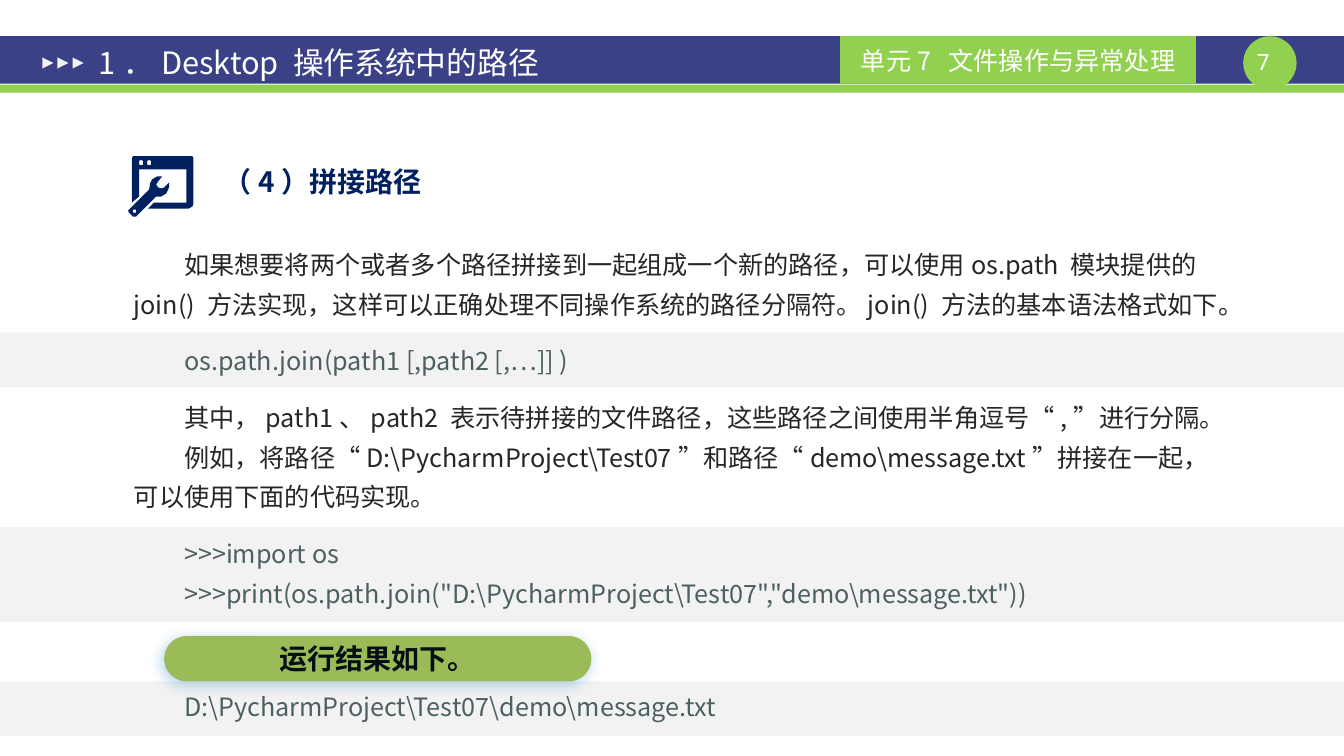
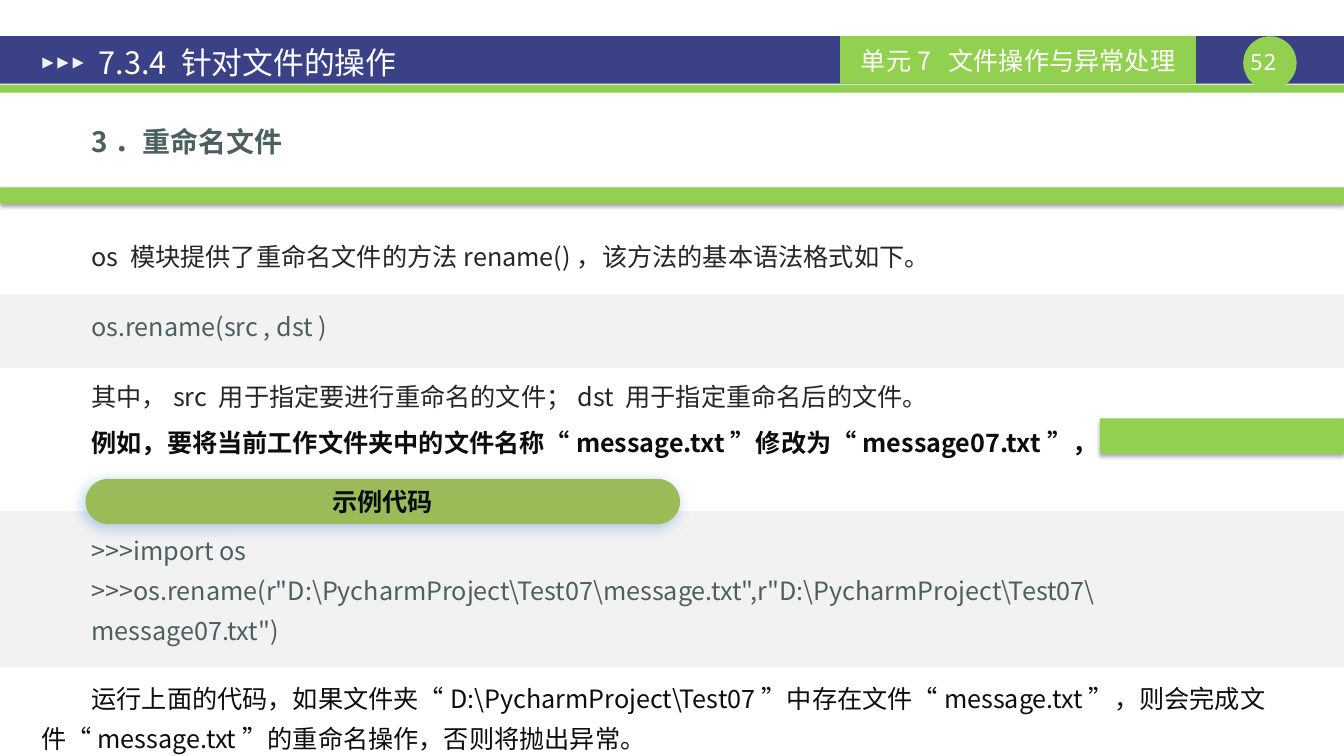
import math
from dataclasses import dataclass

from lxml import etree
from pptx import Presentation
from pptx.dml.color import RGBColor
from pptx.enum.shapes import MSO_SHAPE
from pptx.enum.text import MSO_ANCHOR, MSO_AUTO_SIZE, PP_ALIGN
from pptx.oxml.ns import qn
from pptx.util import Inches, Pt

RECTANGLE = MSO_SHAPE.RECTANGLE
OVAL = MSO_SHAPE.OVAL
TRIANGLE = MSO_SHAPE.ISOSCELES_TRIANGLE
ROUNDED = MSO_SHAPE.ROUNDED_RECTANGLE
TOP, MIDDLE = MSO_ANCHOR.TOP, MSO_ANCHOR.MIDDLE
LEFT, CENTER = PP_ALIGN.LEFT, PP_ALIGN.CENTER
NO_AUTOFIT = MSO_AUTO_SIZE.NONE


@dataclass(frozen=True)
class Theme:
    font: str = "Noto Sans CJK SC"
    number_font: str = "Noto Sans Mono"
    navy: str = "3A4187"
    green: str = "92D050"
    pill: str = "9BBB59"
    band: str = "F2F2F2"
    white: str = "FFFFFF"
    icon: str = "002060"
    body: str = "262626"
    strong: str = "0D0D0D"
    code: str = "4C6062"
    pill_text: str = "060E11"
    title_size: int = 22
    heading_size: int = 20
    body_size: int = 18
    number_size: int = 16
    line_ratio: float = 1.58  # line pitch as a multiple of the type size
    indent: float = 0.5
    # colour, opacity %, blur pt, distance pt, direction in degrees
    pill_shadow: tuple = ("0070C0", 30, 10, 3, 135)
    bar_shadow: tuple = ("000000", 35, 3.1, 1.8, 90)


THEME = Theme()
WIDTH, HEIGHT = 13.34, 7.5
UNIT_NAME = "单元7  文件操作与异常处理"


def style(paragraph, size, color, bold=False, font=THEME.font, align=LEFT):
    paragraph.alignment = align
    paragraph.font.size = Pt(size)
    paragraph.font.bold = bold
    paragraph.font.color.rgb = RGBColor.from_string(color)
    paragraph.font.name = font
    properties = paragraph._p.pPr.find(qn("a:defRPr"))
    etree.SubElement(properties, qn("a:ea")).set("typeface", font)


def add_shadow(shape, color, opacity, blur, distance, direction):
    effects = shape._element.spPr.find(qn("a:effectLst"))
    shadow = etree.SubElement(
        effects, qn("a:outerShdw"), blurRad=str(Pt(blur)), dist=str(Pt(distance)),
        dir=str(direction * 60000), algn="ctr", rotWithShape="0")
    tint = etree.SubElement(shadow, qn("a:srgbClr"), val=color)
    etree.SubElement(tint, qn("a:alpha"), val=str(opacity * 1000))


def paint(shape, color, shadow=None):
    shape.shadow.inherit = False
    shape.fill.solid()
    shape.fill.fore_color.rgb = RGBColor.from_string(color)
    shape.line.fill.background()
    if shadow:
        add_shadow(shape, *shadow)
    return shape


def add_block(slide, kind, box, color, shadow=None):
    shape = slide.shapes.add_shape(kind, *map(Inches, box))
    return paint(shape, color, shadow)


def label(shape, text, size, color, bold=False):
    frame = shape.text_frame
    frame.vertical_anchor = MIDDLE
    frame.text = text
    style(frame.paragraphs[0], size, color, bold, align=CENTER)


def add_line_of_text(slide, box, text, size, color, bold=False, font=THEME.font,
                     anchor=TOP, wrap=True):
    """One centred line in a box without margins."""
    frame = slide.shapes.add_textbox(*map(Inches, box)).text_frame
    frame.margin_left = frame.margin_right = frame.margin_top = frame.margin_bottom = 0
    frame.word_wrap = wrap
    frame.vertical_anchor = anchor
    frame.text = text
    style(frame.paragraphs[0], size, color, bold, font, CENTER)


def add_body(slide, box, entries, size=THEME.body_size, bold=False):
    """Entries are (text, colour, points before); first lines are indented."""
    frame = slide.shapes.add_textbox(*map(Inches, box)).text_frame
    frame.word_wrap = True
    for index, (text, color, before) in enumerate(entries):
        paragraph = frame.add_paragraph() if index else frame.paragraphs[0]
        paragraph.text = text
        properties = paragraph._p.get_or_add_pPr()
        properties.set("marL", "0")
        properties.set("indent", str(Inches(THEME.indent)))
        paragraph.line_spacing = Pt(round(size * THEME.line_ratio, 1))
        paragraph.space_before = Pt(before)
        style(paragraph, size, color, bold)


def add_code_band(slide, top, height):
    add_block(slide, RECTANGLE, (0, top, WIDTH, height), THEME.band)


def add_green_bar(slide, box):
    add_block(slide, RECTANGLE, box, THEME.green, THEME.bar_shadow)


def add_pill(slide, box, text, size):
    pill = add_block(slide, ROUNDED, box, THEME.pill, THEME.pill_shadow)
    pill.adjustments[0] = 0.5
    label(pill, text, size, THEME.pill_text, bold=True)


def add_header(slide, title_text, number, top=0.36):
    band_height = 0.47
    add_block(slide, RECTANGLE, (0, top, WIDTH, band_height), THEME.navy)
    add_block(slide, RECTANGLE, (0, top + 0.48, WIDTH, 0.08), THEME.green)
    add_block(slide, OVAL, (12.34, top, 0.53, 0.53), THEME.green)
    add_line_of_text(slide, (12.34, top + 0.12, 0.53, 0.27), f"{number} ",
                     THEME.number_size, THEME.white, font=THEME.number_font)
    unit = add_block(slide, RECTANGLE, (8.34, top, 3.53, band_height), THEME.green)
    label(unit, UNIT_NAME, THEME.body_size, THEME.white)
    for index in range(3):
        marker = add_block(slide, TRIANGLE, (0.42 + 0.15 * index, top + 0.21, 0.11, 0.11),
                           THEME.band)
        marker.rotation = 90

    title = slide.shapes.title
    title.left, title.top, title.width, title.height = map(
        Inches, (0.85, top + 0.04, 7.2, 0.44))
    frame = title.text_frame
    frame.margin_left = frame.margin_right = Inches(0.13)
    frame.margin_top = frame.margin_bottom = Inches(0.07)
    frame.auto_size = NO_AUTOFIT
    frame.vertical_anchor = MIDDLE
    frame.text = title_text
    style(frame.paragraphs[0], THEME.title_size, THEME.white)
    slide.shapes._spTree.append(title._element)  # in front of the band


def circle_points(x, y, radius, count=16):
    angles = (2 * math.pi * step / count for step in range(count))
    return [(x + radius * math.cos(angle), y + radius * math.sin(angle)) for angle in angles]


def add_tool_icon(slide, left, top):
    """A window with a wrench, drawn in hundredths of an inch."""
    wrench = [(38, 37), (40.5, 33), (41.2, 30), (41, 26), (36, 31), (33, 32.5), (30, 31),
              (28.5, 28), (30, 25), (34, 20), (29, 20), (24, 23), (21.5, 27), (21, 33),
              (1, 53), (0, 54.5), (1, 56), (5, 60), (6.5, 60.5), (8, 60), (28, 40),
              (33, 40)]
    window = [(64, 0), (5, 0), (4, 2), (4, 46), (11, 40), (11, 13), (58, 13), (58, 46),
              (26, 46), (20, 52), (60, 52), (63.5, 50.5), (65, 47), (65, 2)]
    outlines = [wrench, circle_points(6.5, 54.5, 1.8), window,
                circle_points(13, 6.5, 2.2), circle_points(21, 6.5, 2.2)]
    builder = slide.shapes.build_freeform(*outlines[0][0], scale=Inches(0.01))
    for index, outline in enumerate(outlines):
        if index:
            builder.move_to(*outline[0])
        builder.add_line_segments(outline[1:], close=True)
    paint(builder.convert_to_shape(Inches(left), Inches(top)), THEME.icon)


def new_slide(presentation, title, number):
    slide = presentation.slides.add_slide(presentation.slide_layouts[5])
    add_header(slide, title, number)
    return slide


def build_join_slide(presentation):
    slide = new_slide(presentation, "1．Desktop 操作系统中的路径", 7)
    for top, height in ((3.3, 0.54), (5.23, 0.94), (6.76, 0.54)):
        add_code_band(slide, top, height)
    add_tool_icon(slide, 1.27, 1.55)
    add_line_of_text(slide, (1.92, 1.64, 2.57, 0.31), "（4）拼接路径", THEME.heading_size,
                     THEME.icon, bold=True, anchor=MIDDLE, wrap=False)
    gap = 12
    pill_gap = 2 * gap + THEME.body_size * THEME.line_ratio
    add_body(slide, (1.23, 2.33, 11.02, 4.94), [
        ("如果想要将两个或者多个路径拼接到一起组成一个新的路径，可以使用os.path 模块提供的"
         "join() 方法实现，这样可以正确处理不同操作系统的路径分隔符。"
         "join() 方法的基本语法格式如下。", THEME.body, 0),
        ("os.path.join(path1 [,path2 [,…]] )", THEME.code, gap),
        ("其中，path1、path2 表示待拼接的文件路径，这些路径之间使用半角逗号“,”进行分隔。",
         THEME.body, gap),
        ("例如，将路径“D:\\PycharmProject\\Test07”和路径“demo\\message.txt”拼接在一起，"
         "可以使用下面的代码实现。", THEME.body, 0),
        (">>>import os", THEME.code, gap),
        ('>>>print(os.path.join("D:\\PycharmProject\\Test07","demo\\message.txt"))',
         THEME.code, 0),
        ("D:\\PycharmProject\\Test07\\demo\\message.txt", THEME.code, pill_gap),
    ])
    add_pill(slide, (1.63, 6.31, 4.24, 0.45), "运行结果如下。", THEME.heading_size)


def build_rename_slide(presentation):
    slide = new_slide(presentation, "7.3.4 针对文件的操作", 52)
    left, width, gap = 0.31, 12.77, 21.6
    add_body(slide, (left, 1.08, width, 0.5), [("3．重命名文件", THEME.code, 0)],
             size=THEME.heading_size, bold=True)
    add_green_bar(slide, (0, 1.86, WIDTH, 0.16))
    add_code_band(slide, 2.92, 0.73)
    add_body(slide, (left, 2.25, width, 1.91), [
        ("os 模块提供了重命名文件的方法rename()，该方法的基本语法格式如下。", THEME.body, 0),
        ("os.rename(src , dst )", THEME.code, gap),
        ("其中，src 用于指定要进行重命名的文件；dst 用于指定重命名后的文件。", THEME.body, gap),
    ])
    add_code_band(slide, 5.07, 1.55)
    add_pill(slide, (0.85, 4.75, 5.9, 0.45), "示例代码", THEME.body_size)
    add_body(slide, (left, 5.17, width, 1.3), [
        (">>>import os", THEME.code, 0),
        ('>>>os.rename(r"D:\\PycharmProject\\Test07\\message.txt",'
         'r"D:\\PycharmProject\\Test07\\', THEME.code, 0),
        ('message07.txt")', THEME.code, 0),
    ])
    add_body(slide, (left, 4.1, width, 0.46), [
        ("例如，要将当前工作文件夹中的文件名称“message.txt”修改为“message07.txt”，",
         THEME.strong, 0)], bold=True)
    add_green_bar(slide, (10.92, 4.15, 2.42, 0.35))
    add_body(slide, (left, 6.64, width, 0.86), [
        ("运行上面的代码，如果文件夹“D:\\PycharmProject\\Test07”中存在文件“message.txt”，"
         "则会完成文件“message.txt”的重命名操作，否则将抛出异常。", THEME.strong, 0)])


def main():
    presentation = Presentation()
    presentation.slide_width = Inches(WIDTH)
    presentation.slide_height = Inches(HEIGHT)
    build_join_slide(presentation)
    build_rename_slide(presentation)
    presentation.save("out.pptx")


if __name__ == "__main__":
    main()
